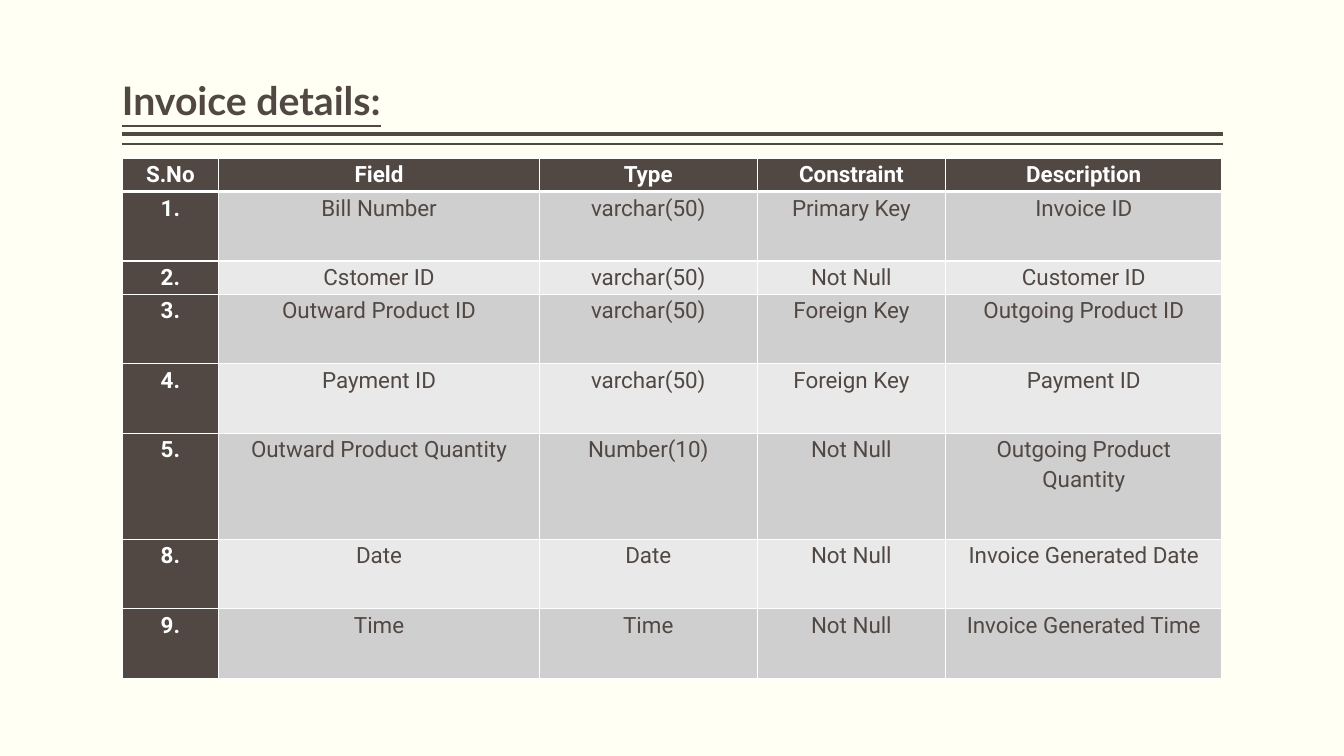
from dataclasses import dataclass

from lxml import etree
from pptx import Presentation
from pptx import util as u
from pptx.dml.color import RGBColor
from pptx.enum import shapes, text
from pptx.oxml.ns import qn


# Colours, fonts and type sizes
@dataclass(frozen=True)
class Theme:
    paper: str = "FFFFF3"
    ink: str = "514843"
    white: str = "FFFFFF"
    bands: tuple = ("D0CFCF", "E9E9E9")
    title_font: str = "Lato"
    table_font: str = "Roboto"
    title_size: int = 28
    table_size: int = 16


LEFT, WIDTH = 1.21, 10.92
COLUMN_WIDTHS = (0.96, 3.18, 2.16, 1.87, 2.74)
HEADINGS = ("S.No", "Field", "Type", "Constraint", "Description")
ONE_LINE, TWO_LINES, THREE_LINES = 0.33, 0.69, 1.05
FIELDS = (
    (TWO_LINES, "1.", "Bill Number", "varchar(50)", "Primary Key", "Invoice ID"),
    (ONE_LINE, "2.", "Cstomer ID", "varchar(50)", "Not Null", "Customer ID"),
    (TWO_LINES, "3.", "Outward Product ID", "varchar(50)", "Foreign Key", "Outgoing Product ID"),
    (TWO_LINES, "4.", "Payment ID", "varchar(50)", "Foreign Key", "Payment ID"),
    (THREE_LINES, "5.", "Outward Product Quantity", "Number(10)", "Not Null",
     "Outgoing Product Quantity"),
    (TWO_LINES, "8.", "Date", "Date", "Not Null", "Invoice Generated Date"),
    (TWO_LINES, "9.", "Time", "Time", "Not Null", "Invoice Generated Time"),
)


def write(frame, words, *, font, size, color, bold=False, underline=False,
          align=text.PP_ALIGN.LEFT, spacing=1.0):
    paragraph = frame.paragraphs[0]
    paragraph.alignment = align
    paragraph.line_spacing = spacing
    run = paragraph.add_run()
    run.text = words
    run.font.name = font
    run.font.size = u.Pt(size)
    run.font.bold = bold
    run.font.underline = underline
    run.font.color.rgb = RGBColor.from_string(color)


class SlideBuilder:
    def __init__(self, slide, theme):
        self.slide = slide
        self.theme = theme
        background = slide.background.fill
        background.solid()
        background.fore_color.rgb = RGBColor.from_string(theme.paper)

    def rule(self, y, weight):
        line = self.slide.shapes.add_connector(
            shapes.MSO_CONNECTOR.STRAIGHT, u.Inches(LEFT), u.Inches(y),
            u.Inches(LEFT + WIDTH), u.Inches(y))
        line.line.color.rgb = RGBColor.from_string(self.theme.ink)
        line.line.width = u.Pt(weight)
        etree.SubElement(line._element.spPr, qn("a:effectLst"))

    def title(self, words, top, height):
        heading = self.slide.shapes.title
        heading.left, heading.top = u.Inches(LEFT), u.Inches(top)
        heading.width, heading.height = u.Inches(WIDTH), u.Inches(height)
        frame = heading.text_frame
        frame.word_wrap = True
        frame.auto_size = text.MSO_AUTO_SIZE.NONE
        frame.vertical_anchor = text.MSO_ANCHOR.BOTTOM
        frame.margin_left = frame.margin_right = 0
        frame.margin_top = frame.margin_bottom = u.Inches(0.05)
        write(frame, words, font=self.theme.title_font, size=self.theme.title_size,
              color=self.theme.ink, bold=True, underline=True, spacing=0.9)

    def borders(self, cell, weights):
        properties = cell._tc.get_or_add_tcPr()
        for position, (side, weight) in enumerate(weights.items()):
            border = etree.Element(qn(f"a:ln{side}"), w=str(u.Pt(weight)))
            fill = etree.SubElement(border, qn("a:solidFill"))
            etree.SubElement(fill, qn("a:srgbClr"), val=self.theme.white)
            properties.insert(position, border)

    def cell(self, cell, words, fill, emphasised, weights):
        cell.margin_left = cell.margin_right = u.Inches(0.07)
        cell.margin_top = cell.margin_bottom = 0
        cell.fill.solid()
        cell.fill.fore_color.rgb = RGBColor.from_string(fill)
        self.borders(cell, weights)
        write(cell.text_frame, words, font=self.theme.table_font,
              size=self.theme.table_size, bold=emphasised,
              color=self.theme.white if emphasised else self.theme.ink,
              align=text.PP_ALIGN.CENTER, spacing=1.15)

    def table(self, top, headings, fields):
        rows = ((ONE_LINE, *headings), *fields)
        height = sum(row[0] for row in rows)
        grid = self.slide.shapes.add_table(
            len(rows), len(headings), u.Inches(LEFT), u.Inches(top),
            u.Inches(sum(COLUMN_WIDTHS)), u.Inches(height)).table
        for column, width in zip(grid.columns, COLUMN_WIDTHS):
            column.width = u.Inches(width)
        for r, (row_height, *entries) in enumerate(rows):
            grid.rows[r].height = u.Inches(row_height)
            # A heavier white line parts the headings from the fields
            weights = {"L": 1, "R": 1, "T": 3 if r == 1 else 1, "B": 3 if r == 0 else 1}
            for c, words in enumerate(entries):
                emphasised = r == 0 or c == 0
                fill = self.theme.ink if emphasised else self.theme.bands[(r - 1) % 2]
                self.cell(grid.cell(r, c), words, fill, emphasised, weights)


def main():
    deck = Presentation()
    deck.slide_width, deck.slide_height = u.Inches(13.33), u.Inches(7.5)
    title_only = deck.slide_layouts[5]
    invoice = SlideBuilder(deck.slides.add_slide(title_only), Theme())

    # Double rule under the title
    invoice.rule(1.33, 3)
    invoice.rule(1.43, 1)

    # Title and field table
    invoice.title("Invoice details:", 0.08, 1.2)
    invoice.table(1.57, HEADINGS, FIELDS)

    deck.save("out.pptx")


if __name__ == "__main__":
    main()
